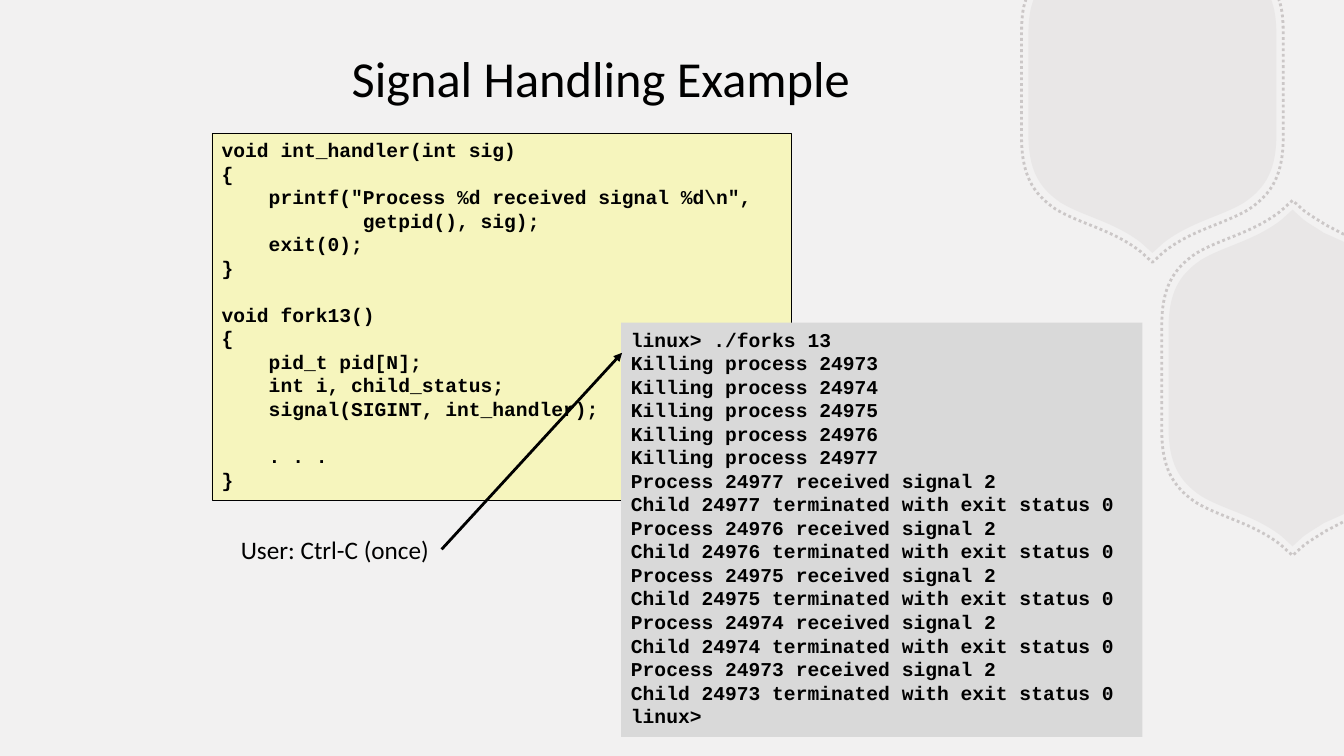
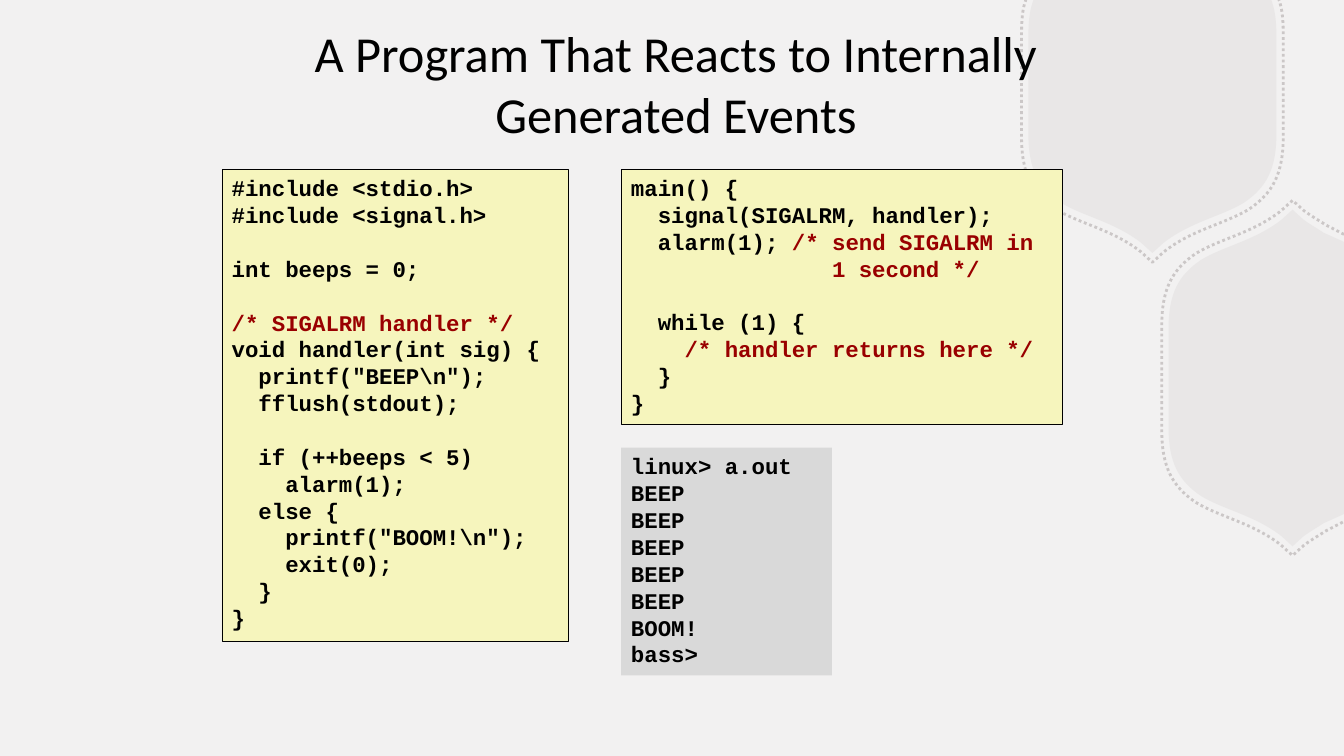
from lxml import etree
from pptx import Presentation
from pptx import util as u
from pptx.dml.color import RGBColor
from pptx.enum import dml, shapes, text
from pptx.oxml.ns import qn

BACKGROUND = RGBColor(0xF2, 0xF1, 0xF1)
HEXAGON = RGBColor(0xB8, 0xB2, 0xB2)
CODE_FILL = RGBColor(0xF6, 0xF5, 0xBD)
OUTPUT_FILL = RGBColor(0xD9, 0xD9, 0xD9)
BLACK = RGBColor(0, 0, 0)
COMMENT = RGBColor(0x99, 0, 0)
WIDTH, HEIGHT = 13.33, 7.5


def add_run(p, words, font, size, color=BLACK, bold=False):
    r = p.add_run()
    r.text = words
    r.font.name = font
    r.font.size = u.Pt(size)
    r.font.bold = bold
    r.font.color.rgb = color


def add_listing(s, box, code, size, fill):
    sp = s.shapes.add_shape(shapes.MSO_SHAPE.RECTANGLE, *map(u.Inches, box))
    sp.shadow.inherit = False
    sp.fill.solid()
    sp.fill.fore_color.rgb = fill
    if fill == CODE_FILL:
        sp.line.color.rgb = BLACK
        sp.line.width = u.Pt(0.25)
    else:
        sp.line.fill.background()
    tf = sp.text_frame
    tf.word_wrap = True
    tf.auto_size = text.MSO_AUTO_SIZE.SHAPE_TO_FIT_TEXT
    tf.vertical_anchor = text.MSO_ANCHOR.TOP
    for i, line in enumerate(code.strip().split("\n")):
        p = tf.add_paragraph() if i else tf.paragraphs[0]
        p.alignment = text.PP_ALIGN.LEFT
        line = line or " "
        cut = line.find("/*") if "/*" in line else 0 if "*/" in line else len(line)
        for part, color in ((line[:cut], BLACK), (line[cut:], COMMENT)):
            if part:
                add_run(p, part, "Courier New", size, color, True)


prs = Presentation()
prs.slide_width, prs.slide_height = u.Inches(WIDTH), u.Inches(HEIGHT)
layout = prs.slide_layouts[6]
fill = prs.slide_master.background.fill
fill.solid()
fill.fore_color.rgb = BACKGROUND

slides = []
for title, box in (
    ("Signal Handling Example", (2, 0.42, 7.92, 0.7)),
    ("A Program That Reacts to Internally Generated Events", (2.08, 0.17, 9.25, 1.3)),
):
    s = prs.slides.add_slide(layout)
    tf = s.shapes.add_textbox(*map(u.Inches, box)).text_frame
    tf.word_wrap = True
    tf.vertical_anchor = text.MSO_ANCHOR.MIDDLE
    p = tf.paragraphs[0]
    p.alignment = text.PP_ALIGN.CENTER
    add_run(p, title, "Calibri", 36)
    slides.append(s)
signal_slide, alarm_slide = slides

corner = [(0, 1.67), (0.11, 1.57), (0.38, 1.36), (0.68, 1.31), (0.91, 1.17),
          (1.13, 1.02), (1.23, 0.84), (1.23, 0.49)]
top_half = corner + [(1.23, -0.48), (1.23, -0.61), (1.22, -0.72), (1.19, -0.81), (1.18, -0.84)]
left_half = [(-1.23, 0)] + [(-x, y) for x, y in corner[::-1]]
left_half += [(0.11, 1.57), (0.18, 1.52), (0.25, 1.48), (0.31, 1.44), (0.51, 1.35)]
hexagons = (
    (11.43, 0.84, top_half, "LCCLCL", -1, 1),
    (12.82, 3.75, left_half, "LCCLLCL", 1, -1),
)

shape_id = 20
for dotted, scale in ((False, 1), (True, 1.055)):
    for cx, cy, half, kinds, flip_x, flip_y in hexagons:
        outline = [(x * flip_x, y * flip_y) for x, y in half[:0:-1]] + half
        points = [(u.Inches(min(cx + x * scale, WIDTH)), u.Inches(max(cy + y * scale, 0)))
                  for x, y in outline]
        steps, at = [], 1
        for kind in kinds[::-1] + kinds:
            count = 3 if kind == "C" else 1
            steps.append(points[at:at + count])
            at += count
        builder = signal_slide.shapes.build_freeform(*points[0])
        builder.add_line_segments([step[-1] for step in steps], close=not dotted)
        sp = builder.convert_to_shape()
        for step, segment in zip(steps, sp.element.xpath(".//a:lnTo")):
            if len(step) == 3:
                curve = etree.Element(qn("a:cubicBezTo"))
                for x, y in step:
                    etree.SubElement(curve, qn("a:pt"), x=str(x - sp.left), y=str(y - sp.top))
                segment.getparent().replace(segment, curve)
        sp.shadow.inherit = False
        if dotted:
            sp.fill.background()
            sp.line.color.rgb = HEXAGON
            sp.line.width = u.Pt(2)
            sp.line.dash_style = dml.MSO_LINE.ROUND_DOT
        else:
            sp.fill.solid()
            sp.fill.fore_color.rgb = HEXAGON
            sp.line.fill.background()
        for clr in sp.element.xpath("./p:spPr//a:srgbClr"):
            etree.SubElement(clr, qn("a:alpha"), val="65000" if dotted else "15000")
        sp.element.nvSpPr.cNvPr.set("id", str(shape_id))
        layout.element.cSld.spTree.append(sp.element)
        shape_id += 1

add_listing(signal_slide, (2.1, 1.32, 5.75, 3.64), r'''
void int_handler(int sig)
{
    printf("Process %d received signal %d\n",
            getpid(), sig);
    exit(0);
}

void fork13()
{
    pid_t pid[N];
    int i, child_status;
    signal(SIGINT, int_handler);

    . . .
}
''', 14, CODE_FILL)

pids = range(24973, 24978)
log = ["linux> ./forks 13"]
log += [f"Killing process {pid}" for pid in pids]
for pid in reversed(pids):
    log += [f"Process {pid} received signal 2", f"Child {pid} terminated with exit status 0"]
log.append("linux>")
add_listing(signal_slide, (6.16, 3.2, 5.17, 4.11), "\n".join(log), 14, OUTPUT_FILL)

label = signal_slide.shapes.add_textbox(*map(u.Inches, (2.29, 5.25, 2.09, 0.41)))
label.text_frame.word_wrap = False
add_run(label.text_frame.paragraphs[0], "User: Ctrl-C (once)", "Calibri", 18)

arrow = signal_slide.shapes.add_connector(
    shapes.MSO_CONNECTOR.STRAIGHT, *map(u.Inches, (4.38, 5.45, 6.17, 3.5)))
arrow.line.color.rgb = BLACK
arrow.line.width = u.Pt(2)
etree.SubElement(arrow.element.spPr.find(qn("a:ln")), qn("a:tailEnd"), type="triangle")
etree.SubElement(arrow.element.spPr, qn("a:effectLst"))

add_listing(alarm_slide, (2.2, 1.68, 3.44, 4.68), r'''
#include <stdio.h>
#include <signal.h>

int beeps = 0;

/* SIGALRM handler */
void handler(int sig) {
  printf("BEEP\n");
  fflush(stdout);

  if (++beeps < 5)
    alarm(1);
  else {
    printf("BOOM!\n");
    exit(0);
  }
}
''', 16, CODE_FILL)

add_listing(alarm_slide, (6.16, 1.68, 4.38, 2.53), '''
main() {
  signal(SIGALRM, handler);
  alarm(1); /* send SIGALRM in
               1 second */

  while (1) {
    /* handler returns here */
  }
}
''', 16, CODE_FILL)

beeps = ["linux> a.out"] + ["BEEP"] * 5 + ["BOOM!", "bass>"]
add_listing(alarm_slide, (6.16, 4.44, 2.09, 2.26), "\n".join(beeps), 16, OUTPUT_FILL)

prs.save("out.pptx")
